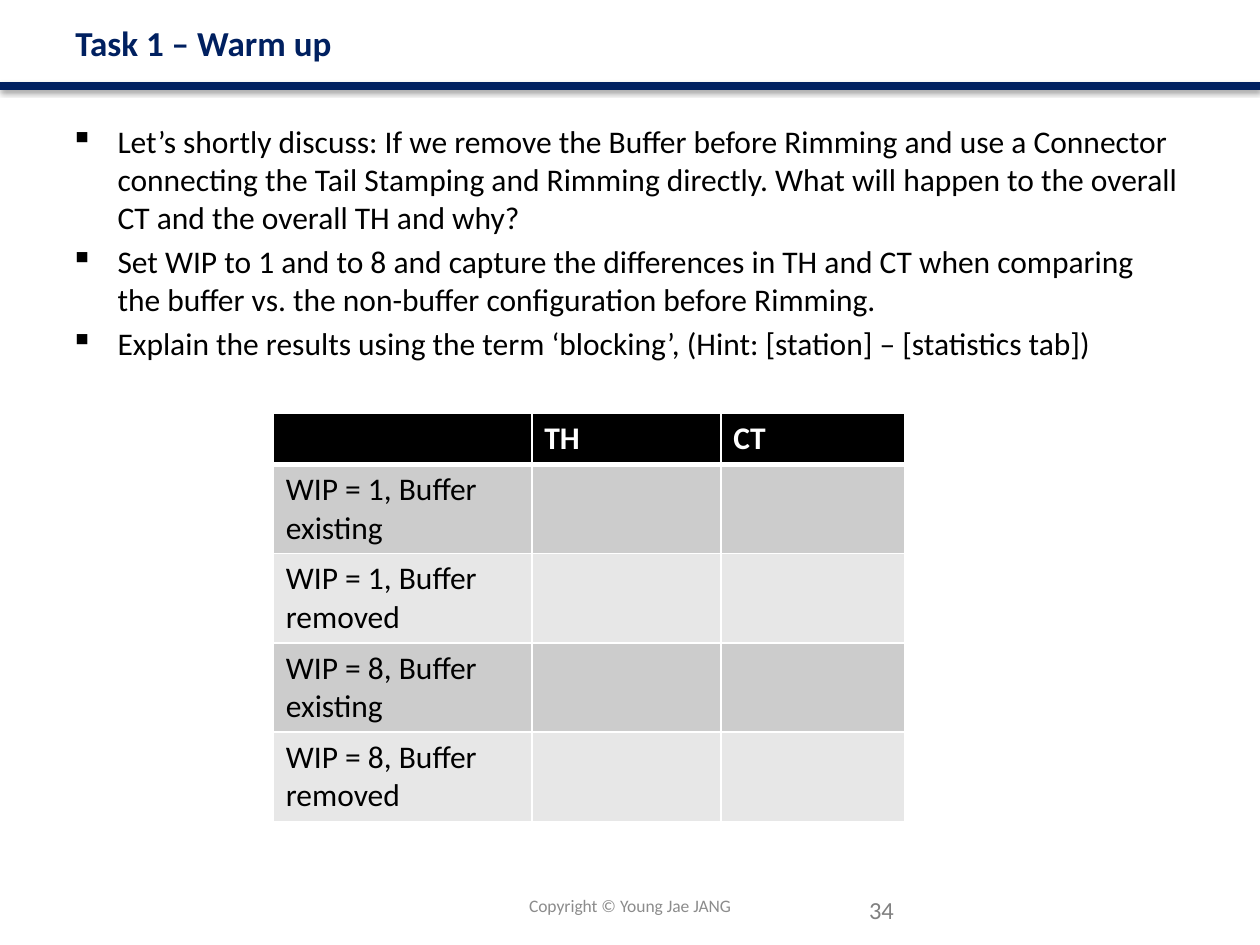
"""Build the warm-up task slide with its discussion points and result table."""
from dataclasses import dataclass

from lxml.etree import SubElement
from pptx import Presentation
from pptx.dml.color import RGBColor
from pptx.enum.shapes import MSO_CONNECTOR
from pptx.enum.text import MSO_ANCHOR, PP_ALIGN
from pptx.oxml import parse_xml
from pptx.oxml.ns import nsdecls, qn
from pptx.util import Cm, Pt


@dataclass(frozen=True)
class Theme:
    font: str = "Calibri"
    navy: str = "002060"
    black: str = "000000"
    white: str = "FFFFFF"
    page_gray: str = "808080"
    footer_gray: str = "8C8C8C"
    bands: tuple[str, str] = ("CCCCCC", "E7E7E7")
    title: int = 20
    body: int = 18
    page_number: int = 14
    footer: int = 10
    grid: int = 1
    header_rule: int = 3


@dataclass(frozen=True)
class TextBlock:
    paragraphs: tuple[str, ...]
    left: float
    top: float
    width: float
    height: float
    size: int
    color: str
    bold: bool = False
    anchor: MSO_ANCHOR = MSO_ANCHOR.TOP
    align: PP_ALIGN = PP_ALIGN.LEFT
    bulleted: bool = False


THEME = Theme()
BLOCKS = (
    TextBlock(("34",), 17.27, 17.91, 1.42, 0.86, THEME.page_number, THEME.page_gray),
    TextBlock(("Task 1 – Warm up",), 1.27, 0.33, 22.86, 1.07, THEME.title, THEME.navy,
              bold=True, anchor=MSO_ANCHOR.MIDDLE),
    TextBlock((
        "Let’s shortly discuss: If we remove the Buffer before Rimming and use a Connector "
        "connecting the Tail Stamping and Rimming directly. What will happen to the overall "
        "CT and the overall TH and why?",
        "Set WIP to 1 and to 8 and capture the differences in TH and CT when comparing \n"
        "the buffer vs. the non-buffer configuration before Rimming.",
        "Explain the results using the term ‘blocking’, (Hint: [station] – [statistics tab])",
    ), 1.17, 2.34, 22.86, 5.41, THEME.body, THEME.black, bulleted=True),
    TextBlock(("Copyright © Young Jae JANG",), 8.38, 17.75, 8.64, 1.02, THEME.footer,
              THEME.footer_gray, anchor=MSO_ANCHOR.MIDDLE, align=PP_ALIGN.CENTER),
)
HEADINGS = ("", "TH", "CT")
ROW_LABELS = tuple(f"WIP = {wip}, Buffer {state}"
                   for wip in (1, 8) for state in ("existing", "removed"))
COLUMN_WIDTHS = (5.21, 3.81, 3.71)
HEADER_HEIGHT, ROW_HEIGHT = 1.03, 1.8


def style_runs(paragraph, size: int, color: str, bold: bool) -> None:
    for span in paragraph.runs:
        span.font.name = THEME.font
        span.font.size = Pt(size)
        span.font.bold = bold
        span.font.color.rgb = RGBColor.from_string(color)


def add_bullet(paragraph) -> None:
    paragraph.space_before = Pt(3.6)
    properties = paragraph._p.get_or_add_pPr()
    properties.set("marL", str(Cm(0.95)))
    properties.set("indent", str(-Cm(0.95)))
    SubElement(properties, qn("a:buChar")).set("char", "▪")


def add_text(page, block: TextBlock) -> None:
    box = page.shapes.add_textbox(Cm(block.left), Cm(block.top), Cm(block.width), Cm(block.height))
    frame = box.text_frame
    frame.word_wrap = True
    frame.vertical_anchor = block.anchor
    for index, text in enumerate(block.paragraphs):
        paragraph = frame.add_paragraph() if index else frame.paragraphs[0]
        paragraph.text = text
        paragraph.alignment = block.align
        style_runs(paragraph, block.size, block.color, block.bold)
        if block.bulleted:
            add_bullet(paragraph)


def add_title_rule(page) -> None:
    rule = page.shapes.add_connector(MSO_CONNECTOR.STRAIGHT, 0, Cm(1.73), Cm(25.4), Cm(1.73))
    rule.line.color.rgb = RGBColor.from_string(THEME.navy)
    rule.line.width = Pt(4.5)
    rule._element.spPr.append(parse_xml(
        f'<a:effectLst {nsdecls("a")}>'
        f'<a:outerShdw blurRad="{Pt(3.1)}" dist="{Pt(1.6)}" dir="5400000" rotWithShape="0">'
        f'<a:srgbClr val="{THEME.black}"><a:alpha val="38000"/></a:srgbClr>'
        '</a:outerShdw></a:effectLst>'))


def set_borders(cell, top: int, bottom: int) -> None:
    widths = {"lnL": THEME.grid, "lnR": THEME.grid, "lnT": top, "lnB": bottom}
    properties = cell._tc.get_or_add_tcPr()
    for index, (side, width) in enumerate(widths.items()):
        properties.insert(index, parse_xml(
            f'<a:{side} {nsdecls("a")} w="{Pt(width)}"><a:solidFill>'
            f'<a:srgbClr val="{THEME.white}"/></a:solidFill></a:{side}>'))


def add_result_table(page) -> None:
    rows = (HEADINGS, *((label, "", "") for label in ROW_LABELS))
    table = page.shapes.add_table(
        len(rows), len(HEADINGS), Cm(5.51), Cm(8.33), Cm(sum(COLUMN_WIDTHS)),
        Cm(HEADER_HEIGHT + ROW_HEIGHT * len(ROW_LABELS))).table
    for column, width in zip(table.columns, COLUMN_WIDTHS):
        column.width = Cm(width)
    for number, texts in enumerate(rows):
        header = number == 0
        table.rows[number].height = Cm(HEADER_HEIGHT if header else ROW_HEIGHT)
        fill = THEME.black if header else THEME.bands[(number - 1) % 2]
        color = THEME.white if header else THEME.black
        for cell, text in zip(table.rows[number].cells, texts):
            cell.text_frame.text = text
            style_runs(cell.text_frame.paragraphs[0], THEME.body, color, header)
            cell.fill.solid()
            cell.fill.fore_color.rgb = RGBColor.from_string(fill)
            set_borders(cell, THEME.header_rule if number == 1 else THEME.grid,
                        THEME.header_rule if header else THEME.grid)


def main() -> None:
    deck = Presentation()
    deck.slide_width, deck.slide_height = Cm(25.4), Cm(19.05)
    page = deck.slides.add_slide(deck.slide_layouts[6])
    add_title_rule(page)
    for block in BLOCKS:
        add_text(page, block)
    add_result_table(page)
    deck.save("out.pptx")


if __name__ == "__main__":
    main()
